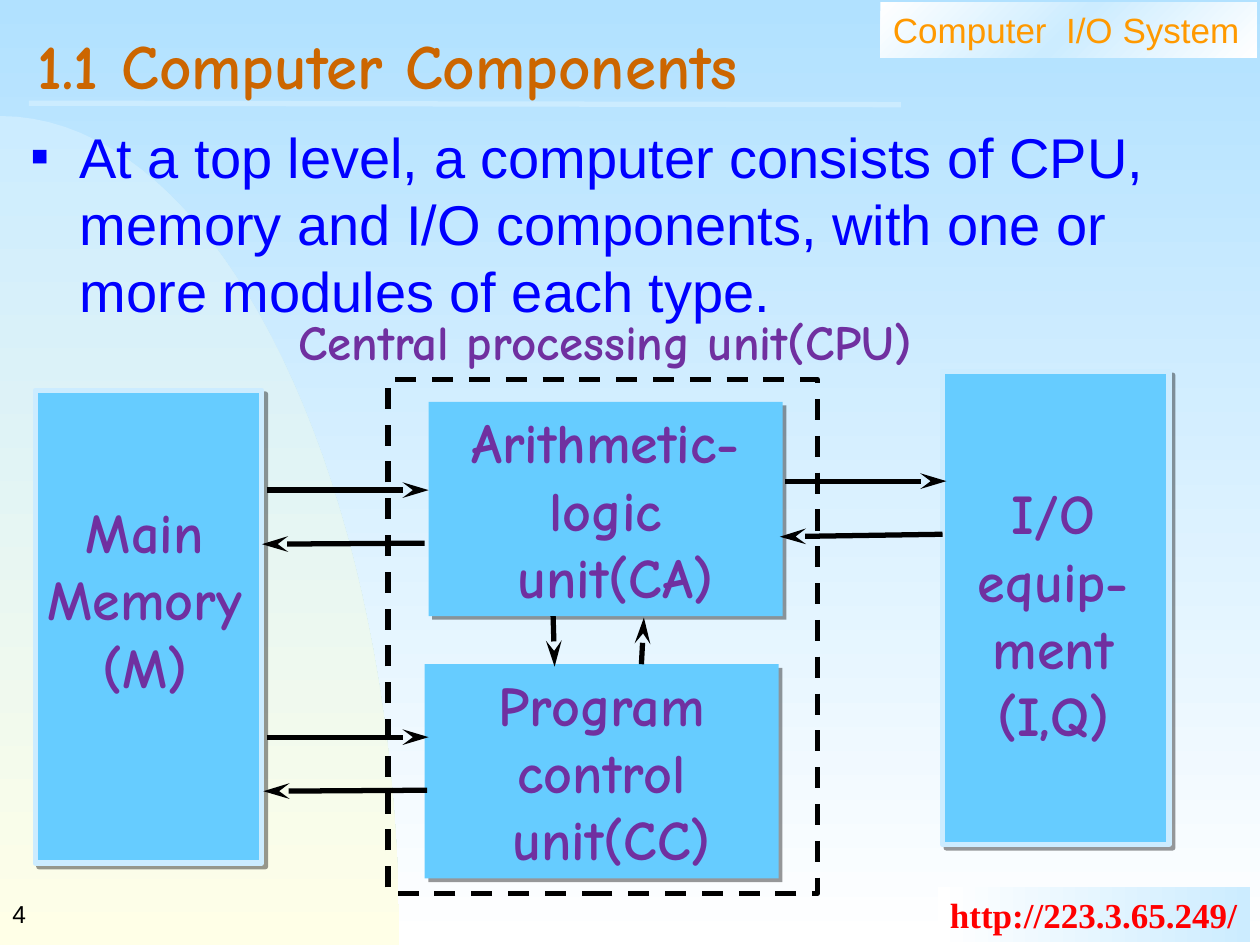
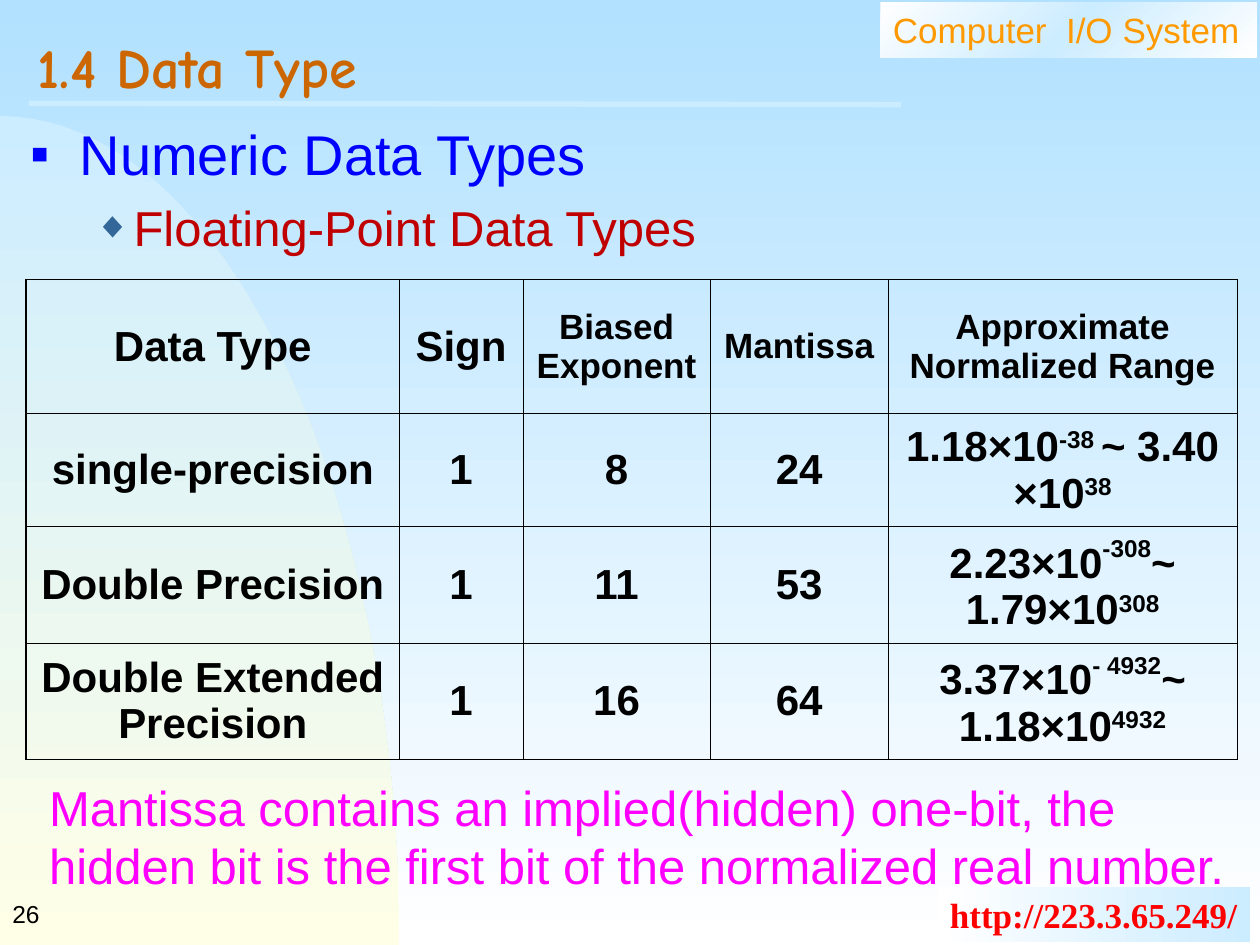
from copy import deepcopy

from lxml.etree import SubElement
from pptx import Presentation
from pptx.dml.color import RGBColor
from pptx.enum.dml import MSO_LINE
from pptx.enum.shapes import MSO_CONNECTOR, MSO_SHAPE
from pptx.enum.text import MSO_ANCHOR, MSO_AUTO_SIZE, PP_ALIGN
from pptx.oxml.ns import qn
from pptx.util import Cm, Pt

COLORS = {
    "sky": "B1E1FF", "pale": "CCECFF", "white": "FFFFFF", "cream": "FFFFE7",
    "orange": "FF9900", "brown": "CC6600", "red": "FF0000", "blue": "0000FF",
    "black": "000000", "box": "66CCFF", "purple": "7030A0", "dark_red": "C00000",
    "steel": "336699", "magenta": "FF00FF",
}
RGB = {name: RGBColor.from_string(value) for name, value in COLORS.items()}

HEADER = {"size": Pt(20), "name": "Arial", "color": "orange"}
ADDRESS = {"size": Pt(20), "name": "Times New Roman", "color": "red", "bold": True}
TITLE = {"size": Pt(36), "name": "Comic Neue", "color": "brown", "bold": True}
NUMBER = {"size": Pt(14), "name": "Arial", "color": "black"}
BULLET = {"size": Pt(32), "name": "Arial", "color": "blue"}
SUB_BULLET = {"size": Pt(28), "name": "Arial", "color": "dark_red"}
UNIT = {"size": Pt(32), "name": "Comic Neue", "color": "purple", "bold": True}
CELL = {"size": Pt(24), "name": "Arial", "color": "black", "bold": True}
NOTE = {"size": Pt(28), "name": "Arial", "color": "magenta"}


def write(tf, paras, *formats, align=PP_ALIGN.LEFT):
    """Fill a text frame; a paragraph is a string or a list of (text, baseline %) runs.

    With fewer formats than paragraphs, the last format goes on.
    """
    for i, para in enumerate(paras):
        p = tf.paragraphs[0] if i == 0 else tf.add_paragraph()
        p.alignment = align
        p.space_before = Pt(0)
        fmt = formats[min(i, len(formats) - 1)]
        for text, baseline in [(para, 0)] if isinstance(para, str) else para:
            r = p.add_run()
            r.text = text
            for key, value in fmt.items():
                if key == "color":
                    r.font.color.rgb = RGB[value]
                else:
                    setattr(r.font, key, value)
            if baseline:
                r._r.get_or_add_rPr().set("baseline", str(baseline * 1000))


def shade(fill, element, angle, *names):
    """Give evenly spaced gradient stops; the angle runs counter-clockwise."""
    fill.gradient()
    fill.gradient_angle = angle
    first = element.xpath(".//a:gs")[0]
    for _ in names[2:]:
        first.addnext(deepcopy(first))
    for i, (stop, name) in enumerate(zip(fill.gradient_stops, names)):
        stop.position = i / (len(names) - 1)
        stop.color.rgb = RGB[name]


prs = Presentation()
prs.slide_width, prs.slide_height = Cm(25.4), Cm(19.05)
layout = prs.slide_layouts[1]
shade(layout.background.fill, layout.background.element, 270, "sky", "white")

slides = []
for number, title, size, body_box in [
    ("4", "1.1 Computer Components", 36, (0.38, 2.34, 24.56, 15.24)),
    ("26", "1.4 Data Type", 32, (0.38, 2.29, 24.38, 13.21)),
]:
    s = prs.slides.add_slide(layout)
    slides.append(s)
    for sp, box in [(s.shapes.title, (0.51, 0.51, 24.26, 1.96)), (s.placeholders[1], body_box)]:
        sp.left, sp.top, sp.width, sp.height = map(Cm, box)
        sp.text_frame.auto_size = MSO_AUTO_SIZE.NONE
    tf = s.shapes.title.text_frame
    tf.vertical_anchor = MSO_ANCHOR.MIDDLE
    write(tf, [title], {**TITLE, "size": Pt(size)})
    tf.paragraphs[0].line_spacing = 0.7
    tf = s.shapes.add_textbox(Cm(0), Cm(17.78), Cm(5.28), Cm(1.27)).text_frame
    tf.vertical_anchor = MSO_ANCHOR.MIDDLE
    write(tf, [number], NUMBER)

components, data_types = slides

# Shared decoration, built on a slide and moved to the layout
curve = [(0, 2.34), (4.45, 2.34), (8.05, 9.83), (8.05, 19.05)]
weights = (1, 3, 3, 1)
outline = []
for step in range(1, 41):
    t = step / 40
    outline.append(tuple(
        Cm(sum(w * (1 - t) ** (3 - k) * t ** k * point[axis]
               for k, (w, point) in enumerate(zip(weights, curve))))
        for axis in (0, 1)))
builder = components.shapes.build_freeform(Cm(0), Cm(2.34))
builder.add_line_segments(outline + [(Cm(0), Cm(19.05))], close=True)
sweep = builder.convert_to_shape()
header = components.shapes.add_shape(MSO_SHAPE.RECTANGLE, Cm(17.75), Cm(0.05), Cm(7.59), Cm(1.12))
address = components.shapes.add_shape(MSO_SHAPE.RECTANGLE, Cm(18.9), Cm(17.88), Cm(6.3), Cm(1.12))
for sp, angle, names in [
    (sweep, 270, ("pale", "cream")),
    (header, 315, ("white", "pale", "white")),
    (address, 0, ("white", "pale")),
]:
    shade(sp.fill, sp.element, angle, *names)
    sp.line.fill.background()
    sp.shadow.inherit = False
for sp, text, fmt in [
    (header, "Computer  I/O System", HEADER),
    (address, "http://223.3.65.249/", ADDRESS),
]:
    sp.text_frame.word_wrap = sp is header
    sp.text_frame.vertical_anchor = MSO_ANCHOR.TOP
    write(sp.text_frame, [text], fmt)
rule = components.shapes.add_connector(
    MSO_CONNECTOR.STRAIGHT, Cm(0.58), Cm(2.08), Cm(18.16), Cm(2.11))
rule.line.color.rgb = RGB["pale"]
rule.line.width = Pt(3)
SubElement(rule.element.spPr, qn("a:effectLst"))
for shape_id, sp in enumerate((sweep, header, address, rule), 101):
    sp.element.xpath(".//p:cNvPr")[0].set("id", str(shape_id))
    layout.shapes.element.append(sp.element)

# Bulleted lists
write(components.placeholders[1].text_frame,
      ["At a top level, a computer consists of CPU, memory and I/O components, "
       "with one or more modules of each type."], BULLET)
write(data_types.placeholders[1].text_frame,
      ["Numeric Data Types", "Floating-Point Data Types"], BULLET, SUB_BULLET)
levels = [(0.97, -0.97, "blue", 50, "■"), (2.06, -0.79, "steel", 75, "◆")]
for s in slides:
    for level, p in enumerate(s.placeholders[1].text_frame.paragraphs):
        margin, indent, color, percent, char = levels[level]
        p.level = level
        p.space_before = Pt(6 * level)
        pPr = p._p.get_or_add_pPr()
        pPr.set("marL", str(Cm(margin)))
        pPr.set("indent", str(Cm(indent)))
        SubElement(SubElement(pPr, qn("a:buClr")), qn("a:srgbClr"), val=COLORS[color])
        SubElement(pPr, qn("a:buSzPct"), val=str(percent * 1000))
        SubElement(pPr, qn("a:buFont"), typeface="Arial")
        SubElement(pPr, qn("a:buChar"), char=char)

# Block diagram of the computer
s = components
for box, edged, paras in [
    ((0.71, 7.87, 4.57, 9.53), True, []),
    ((19, 7.49, 4.57, 9.53), True, []),
    ((8.64, 8.1, 7.14, 4.32), False, ["Arithmetic-logic", " unit(CA)"]),
    ((8.56, 13.39, 7.14, 4.32), False, ["Program", "control", " unit(CC)"]),
]:
    sp = s.shapes.add_shape(MSO_SHAPE.RECTANGLE, *map(Cm, box))
    sp.fill.solid()
    sp.fill.fore_color.rgb = RGB["box"]
    if edged:
        sp.line.color.rgb = RGB["pale"]
        sp.line.width = Pt(3)
    else:
        sp.line.fill.background()
    sp.shadow.inherit = False
    shadow = SubElement(sp.element.spPr.find(qn("a:effectLst")), qn("a:outerShdw"),
                        dist=str(Pt(3)), dir="2700000", algn="tl", rotWithShape="0")
    SubElement(SubElement(shadow, qn("a:srgbClr"), val=COLORS["black"]),
               qn("a:alpha"), val="40000")
    sp.text_frame.vertical_anchor = MSO_ANCHOR.TOP
    write(sp.text_frame, paras, UNIT, align=PP_ALIGN.CENTER)

cpu = s.shapes.add_shape(MSO_SHAPE.RECTANGLE, Cm(7.82), Cm(7.65), Cm(8.66), Cm(10.36))
cpu.fill.background()
cpu.shadow.inherit = False
cpu.line.color.rgb = RGB["black"]
cpu.line.width = Pt(3)
cpu.line.dash_style = MSO_LINE.DASH

for box, size, paras in [
    ((0.71, 9.91, 4.42, 4.32), 32, ["Main", "Memory", "(M)"]),
    ((19, 9.53, 4.47, 5.69), 32, ["I/O equip-ment", "(I,Q)"]),
    ((2.41, 6.15, 19.58, 1.45), 28, ["Central processing unit(CPU)"]),
]:
    tf = s.shapes.add_textbox(*map(Cm, box)).text_frame
    tf.word_wrap = True
    tf.margin_left = tf.margin_right = 0
    write(tf, paras, {**UNIT, "size": Pt(size)}, align=PP_ALIGN.CENTER)

for ends in [
    (5.38, 9.88, 8.64, 9.88), (5.38, 14.86, 8.64, 14.86),
    (8.56, 10.95, 5.28, 10.97), (8.61, 15.93, 5.31, 15.95),
    (15.82, 9.7, 19.08, 9.7), (19, 10.77, 15.72, 10.82),
    (11.15, 12.42, 11.18, 13.44), (12.93, 13.39, 12.98, 12.45),
]:
    arrow = s.shapes.add_connector(MSO_CONNECTOR.STRAIGHT, *map(Cm, ends))
    arrow.line.color.rgb = RGB["black"]
    arrow.line.width = Pt(3)
    SubElement(arrow.element.spPr.find(qn("a:ln")), qn("a:tailEnd"), type="stealth", len="lg")
    SubElement(arrow.element.spPr, qn("a:effectLst"))

# Table of floating-point types
s = data_types
rows = [
    ["Data Type", "Sign", "Biased Exponent", "Mantissa", "Approximate Normalized Range"],
    ["single-precision", "1", "8", "24",
     [("1.18×10", 0), ("-38 ", 30), ("~ 3.40 ×10", 0), ("38", 30)]],
    ["Double Precision", "1", "11", "53",
     [("2.23×10", 0), ("-308", 48), ("~ 1.79×10", 0), ("308", 30)]],
    ["Double Extended\nPrecision", "1", "16", "64",
     [("3.37×10", 0), ("- 4932", 48), ("~ 1.18×10", 0), ("4932", 30)]],
]
widths = [7.52, 2.49, 3.78, 3.58, 7.04]
heights = [2.69, 2.29, 2.34, 2.34]
table = s.shapes.add_table(len(rows), len(widths), Cm(0.53), Cm(5.64),
                           Cm(sum(widths)), Cm(sum(heights))).table
table.first_row = table.horz_banding = False
for column, width in zip(table.columns, widths):
    column.width = Cm(width)
for i, (row, height) in enumerate(zip(rows, heights)):
    table.rows[i].height = Cm(height)
    for j, content in enumerate(row):
        cell = table.cell(i, j)
        cell.fill.background()
        cell.vertical_anchor = MSO_ANCHOR.MIDDLE
        paras = content.split("\n") if isinstance(content, str) else [content]
        size = Pt(20) if i == 0 and j > 1 else Pt(24)
        write(cell.text_frame, paras, {**CELL, "size": size}, align=PP_ALIGN.CENTER)
        tcPr = cell._tc.get_or_add_tcPr()
        for k, side in enumerate("LRTB"):
            width = Pt(1.08) if side == "L" and j == 0 else Pt(0.45)
            ln = SubElement(tcPr, qn(f"a:ln{side}"), w=str(width))
            SubElement(SubElement(ln, qn("a:solidFill")), qn("a:srgbClr"), val=COLORS["black"])
            tcPr.insert(k, ln)

tf = s.shapes.add_textbox(Cm(0.74), Cm(15.54), Cm(24.66), Cm(2.64)).text_frame
tf.word_wrap = True
write(tf, ["Mantissa contains an implied(hidden) one-bit, the hidden bit is the first bit "
           "of the normalized real number."], NOTE)

prs.save("out.pptx")
